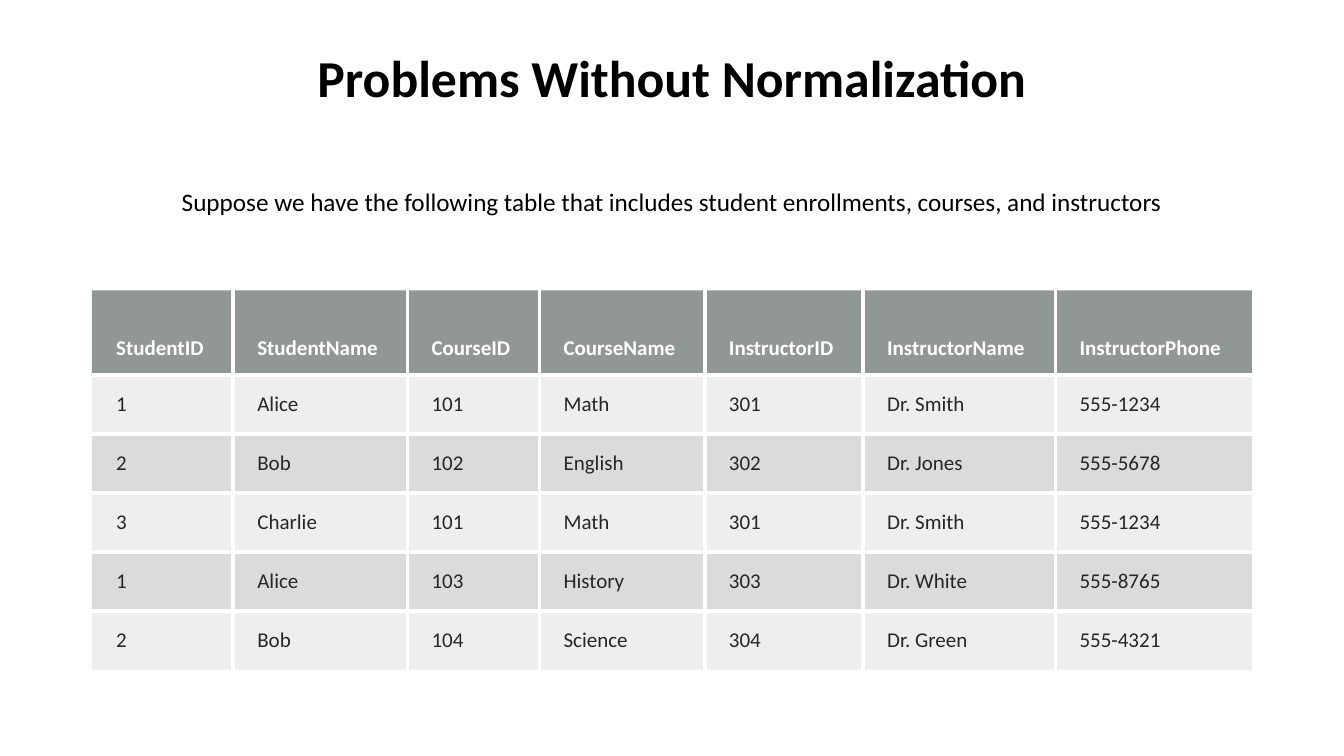
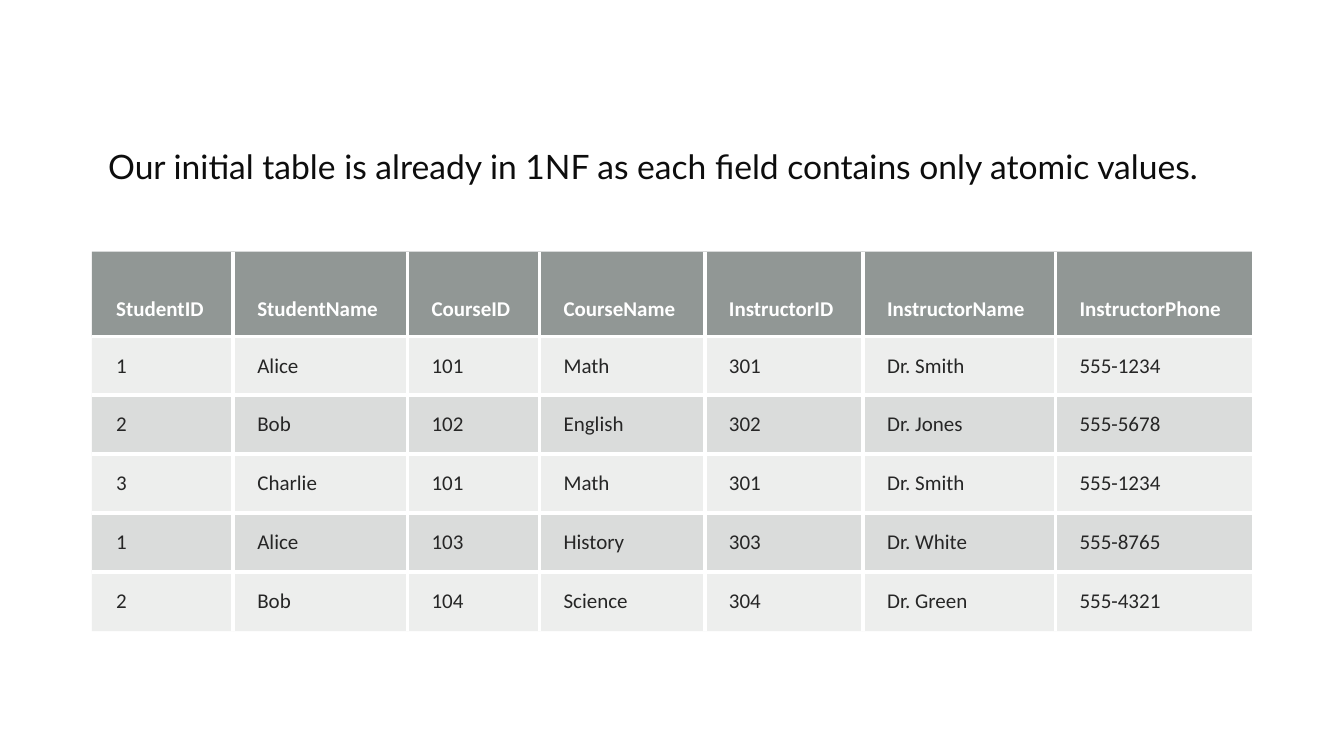
from lxml import etree
from pptx import Presentation
from pptx.dml.color import RGBColor
from pptx.enum.text import MSO_ANCHOR, PP_ALIGN
from pptx.oxml.ns import qn
from pptx.util import Pt

CENTER = PP_ALIGN.CENTER
MIDDLE, BOTTOM = MSO_ANCHOR.MIDDLE, MSO_ANCHOR.BOTTOM

BLACK = RGBColor(0x00, 0x00, 0x00)
NEAR_BLACK = RGBColor(0x0D, 0x0D, 0x0D)
BODY_GRAY = RGBColor(0x26, 0x26, 0x26)
WHITE = RGBColor(0xFF, 0xFF, 0xFF)
HEADER_FILL = RGBColor(0x63, 0x6B, 0x68)
BAND_FILL = RGBColor(0x87, 0x8E, 0x8B)

HEADER_OPACITY = 70
BAND_OPACITIES = (15, 30)
BORDER_WIDTH = 3
FONT = "Calibri"

TABLE_LEFT = 65.7
TEXT_WIDTH, TEXT_HEIGHT = 801.4, 60.5
COLUMN_WIDTHS = (100.8, 124.5, 94.3, 118.1, 113, 137.5, 140.4)
HEADER_HEIGHT, ROW_HEIGHT = 60.5, 42.1

ENROLLMENTS = (
    ("StudentID", "StudentName", "CourseID", "CourseName",
     "InstructorID", "InstructorName", "InstructorPhone"),
    ("1", "Alice", "101", "Math", "301", "Dr. Smith", "555-1234"),
    ("2", "Bob", "102", "English", "302", "Dr. Jones", "555-5678"),
    ("3", "Charlie", "101", "Math", "301", "Dr. Smith", "555-1234"),
    ("1", "Alice", "103", "History", "303", "Dr. White", "555-8765"),
    ("2", "Bob", "104", "Science", "304", "Dr. Green", "555-4321"),
)


def style_run(r, size, color, font=FONT, bold=False):
    r.font.name = font
    r.font.size = Pt(size)
    r.font.bold = bold
    r.font.color.rgb = color


def add_text(slide, box, text, size, color, font=FONT, bold=False, space_after=0):
    """Add one centred line of text in box (left, top, width, height)."""
    sp = slide.shapes.add_textbox(*map(Pt, box))
    tf = sp.text_frame
    tf.word_wrap = True
    tf.vertical_anchor = MIDDLE
    tf.text = text
    p = tf.paragraphs[0]
    p.alignment = CENTER
    p.line_spacing = 0.9
    p.space_after = Pt(space_after)
    style_run(p.runs[0], size, color, font, bold)


def set_borders(cell, inner_sides):
    """Draw white lines on the inner sides and clear the outer ones."""
    tc_pr = cell._tc.get_or_add_tcPr()
    for i, side in enumerate("LRTB"):
        ln = etree.Element(qn(f"a:ln{side}"), w=str(Pt(BORDER_WIDTH)))
        if side in inner_sides:
            fill = etree.SubElement(ln, qn("a:solidFill"))
            etree.SubElement(fill, qn("a:srgbClr"), val=str(WHITE))
        else:
            etree.SubElement(ln, qn("a:noFill"))
        tc_pr.insert(i, ln)


def set_fill(cell, color, opacity):
    cell.fill.solid()
    cell.fill.fore_color.rgb = color
    clr = cell._tc.tcPr.find(f"{qn('a:solidFill')}/{qn('a:srgbClr')}")
    etree.SubElement(clr, qn("a:alpha"), val=str(opacity * 1000))


def fill_cell(cell, text, row):
    is_header = row == 0
    cell.margin_left = Pt(17.3)
    cell.margin_right = cell.margin_top = cell.margin_bottom = Pt(10)
    cell.vertical_anchor = BOTTOM if is_header else MIDDLE
    cell.text_frame.text = text
    r = cell.text_frame.paragraphs[0].runs[0]
    style_run(r, 15, WHITE if is_header else BODY_GRAY, bold=is_header)
    if is_header:
        set_fill(cell, HEADER_FILL, HEADER_OPACITY)
    else:
        set_fill(cell, BAND_FILL, BAND_OPACITIES[(row - 1) % 2])


def add_enrollment_table(slide, left, top):
    n_rows, n_cols = len(ENROLLMENTS), len(COLUMN_WIDTHS)
    heights = [HEADER_HEIGHT] + [ROW_HEIGHT] * (n_rows - 1)
    table = slide.shapes.add_table(
        n_rows, n_cols, Pt(left), Pt(top),
        Pt(sum(COLUMN_WIDTHS)), Pt(sum(heights))).table
    table.first_row = table.horz_banding = False
    for column, width in zip(table.columns, COLUMN_WIDTHS):
        column.width = Pt(width)
    for i, (height, values) in enumerate(zip(heights, ENROLLMENTS)):
        table.rows[i].height = Pt(height)
        for j, value in enumerate(values):
            cell = table.cell(i, j)
            fill_cell(cell, value, i)
            inner = {"L": j > 0, "R": j < n_cols - 1,
                     "T": i > 0, "B": i < n_rows - 1}
            set_borders(cell, [side for side, shown in inner.items() if shown])


def build_problems_slide(slide):
    left = 79.2
    add_text(slide, (left, 13.7, TEXT_WIDTH, 87.8),
             "Problems Without Normalization", 37, BLACK, bold=True)
    add_text(slide, (left, 115.2, TEXT_WIDTH, TEXT_HEIGHT),
             "Suppose we have the following table that includes student "
             "enrollments, courses, and instructors", 18, BLACK, space_after=6)
    add_enrollment_table(slide, TABLE_LEFT, 207.4)


def build_first_normal_form_slide(slide):
    add_text(slide, (TABLE_LEFT, 90, TEXT_WIDTH, TEXT_HEIGHT),
             "Our initial table is already in 1NF as each field contains "
             "only atomic values.", 24, NEAR_BLACK, font="Lato", space_after=6)
    add_enrollment_table(slide, TABLE_LEFT, 179.8)


def main():
    prs = Presentation()
    prs.slide_width, prs.slide_height = Pt(960), Pt(540)
    blank = prs.slide_layouts[6]
    for build in (build_problems_slide, build_first_normal_form_slide):
        build(prs.slides.add_slide(blank))
    prs.save("out.pptx")


if __name__ == "__main__":
    main()
